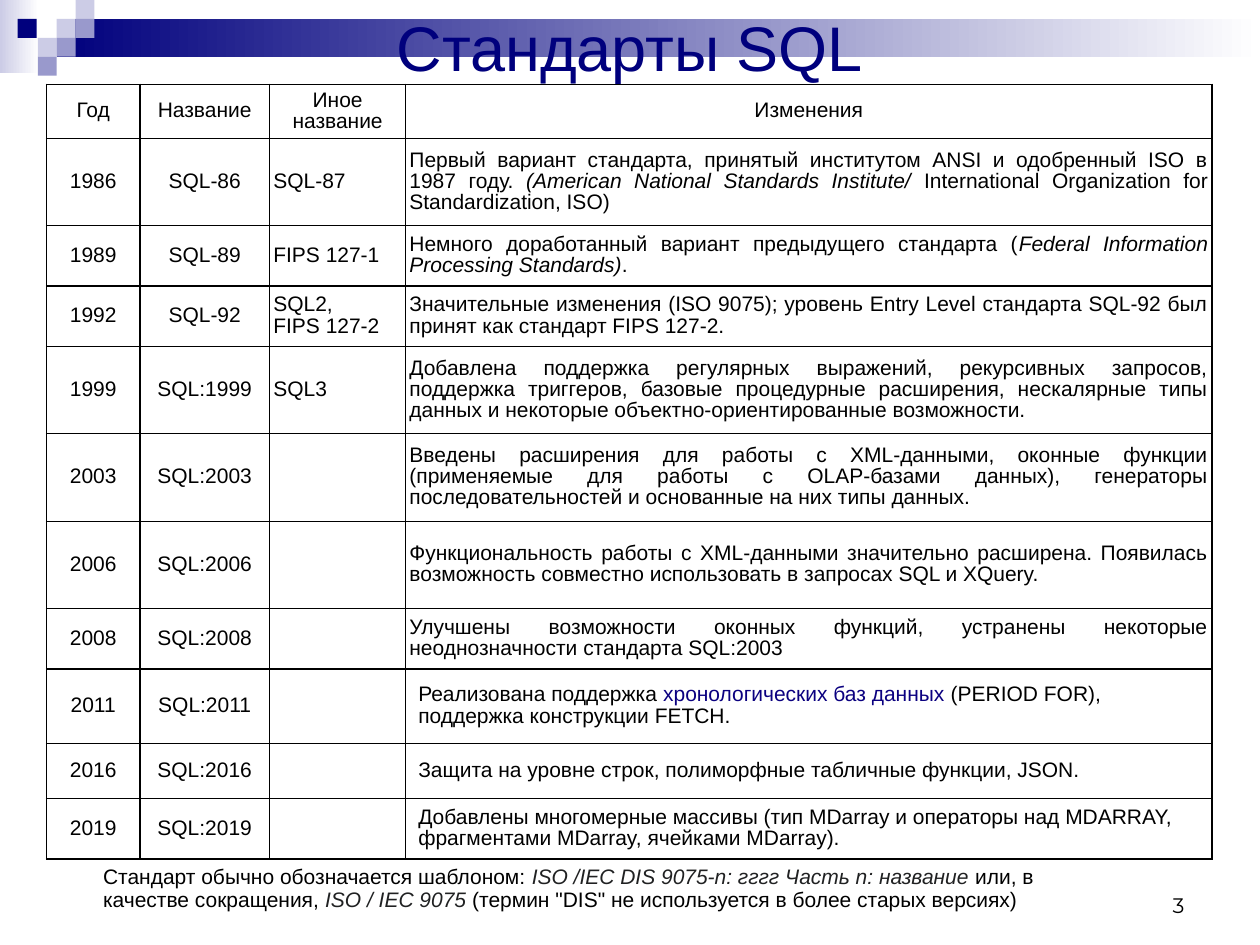
from dataclasses import dataclass
from typing import NamedTuple

from lxml.etree import SubElement
from pptx import Presentation
from pptx.dml.color import RGBColor
from pptx.enum.shapes import MSO_SHAPE as Preset
from pptx.enum.text import MSO_ANCHOR as Anchor, MSO_AUTO_SIZE as AutoSize, PP_ALIGN as Align
from pptx.oxml.ns import qn
from pptx.util import Inches, Pt


@dataclass(frozen=True)
class Theme:
    navy: str = "00007D"
    violet: str = "9999CC"
    lilac: str = "CCCCE6"
    white: str = "FFFFFF"
    black: str = "000000"
    term: str = "202122"
    link: str = "0B0080"
    font: str = "Arial"
    number_font: str = "Montserrat"
    title_size: int = 36
    body_size: int = 12
    border: int = 1
    spacing: float = 0.9


class Part(NamedTuple):
    text: str
    italic: bool = False
    color: str = ""


class Square(NamedTuple):
    left: float
    top: float
    color: str


class Standard(NamedTuple):
    year: str
    name: str
    alias: str
    changes: list[Part]
    height: float
    roomy: bool = False


THEME = Theme()
SQUARE_SIDE = 0.15
SQUARES = [
    Square(0.45, 0.15, THEME.lilac),
    Square(0.6, 0, THEME.lilac),
    Square(0.6, 0.15, THEME.violet),
    Square(0.3, 0.3, THEME.lilac),
    Square(0.14, 0.15, THEME.navy),
    Square(0.45, 0.3, THEME.violet),
    Square(0.3, 0.45, THEME.violet),
]
COLUMNS = [0.74, 1.03, 1.08, 6.4]
HEADER = ["Год", "Название", "Иное название", "Изменения"]
HEADER_HEIGHT = 0.43
STANDARDS = [
    Standard("1986", "SQL-86", "SQL-87", [
        Part("Первый вариант стандарта, принятый институтом ANSI и одобренный ISO в 1987 году."),
        Part(" (American National Standards Institute/ ", italic=True),
        Part("International Organization for Standardization, ISO)")], 0.69),
    Standard("1989", "SQL-89", "FIPS 127-1", [
        Part("Немного доработанный вариант предыдущего стандарта ("),
        Part("Federal Information Processing Standards)", italic=True),
        Part(".")], 0.48),
    Standard("1992", "SQL-92", "SQL2,\nFIPS 127-2", [
        Part("Значительные изменения (ISO 9075); уровень Entry Level стандарта SQL-92 был "
             "принят как стандарт FIPS 127-2.")], 0.48),
    Standard("1999", "SQL:1999", "SQL3", [
        Part("Добавлена поддержка регулярных выражений, рекурсивных запросов, поддержка "
             "триггеров, базовые процедурные расширения, нескалярные типы данных и "
             "некоторые объектно-ориентированные возможности.")], 0.69),
    Standard("2003", "SQL:2003", "", [
        Part("Введены расширения для работы с XML-данными, оконные функции (применяемые "
             "для работы с OLAP-базами данных), генераторы последовательностей и "
             "основанные на них типы данных.")], 0.7),
    Standard("2006", "SQL:2006", "", [
        Part("Функциональность работы с XML-данными значительно расширена. Появилась "
             "возможность совместно использовать в запросах SQL и XQuery.")], 0.69),
    Standard("2008", "SQL:2008", "", [
        Part("Улучшены возможности оконных функций, устранены некоторые неоднозначности "
             "стандарта SQL:2003")], 0.48),
    Standard("2011", "SQL:2011", "", [
        Part("Реализована поддержка "),
        Part("хронологических баз данных", color=THEME.link),
        Part(" (PERIOD FOR), поддержка конструкции FETCH.")], 0.59, roomy=True),
    Standard("2016", "SQL:2016", "", [
        Part("Защита на уровне строк, полиморфные табличные функции, JSON.")], 0.44, roomy=True),
    Standard("2019", "SQL:2019", "", [
        Part("Добавлены многомерные массивы (тип MDarray и операторы над MDARRAY, "
             "фрагментами MDarray, ячейками MDarray).")], 0.48, roomy=True),
]
FOOTNOTE = [
    Part("Стандарт обычно обозначается шаблоном: "),
    Part("ISO /IEC DIS 9075-n: гггг Часть n: название", italic=True, color=THEME.term),
    Part(" или, в качестве сокращения, "),
    Part("ISO / IEC 9075", italic=True, color=THEME.term),
    Part(" (термин \"DIS\" не используется в более старых версиях)"),
]


def write(para, parts: list[Part], align: Align, size: int = THEME.body_size,
          font: str = THEME.font, color: str = THEME.black, spacing: float = THEME.spacing) -> None:
    """Format a paragraph and fill it with text parts."""
    para.alignment = align
    para.line_spacing = spacing
    para.space_before = Pt(0)
    para.font.name = font
    para.font.size = Pt(size)
    para.font.color.rgb = RGBColor.from_string(color)
    for part in parts:
        for index, line in enumerate(part.text.split("\n")):
            if index:
                para.add_line_break()
            span = para.add_run()
            span.text = line
            if part.italic:
                span.font.italic = True
            if part.color:
                span.font.color.rgb = RGBColor.from_string(part.color)


def add_block(page, left: float, top: float, width: float, height: float,
              color: str, fade_to: str = "") -> None:
    """Draw a plain or horizontally fading rectangle."""
    box = page.shapes.add_shape(Preset.RECTANGLE, Inches(left), Inches(top),
                                Inches(width), Inches(height))
    box.shadow.inherit = False
    box.line.fill.background()
    if fade_to:
        box.fill.gradient()
        box.fill.gradient_angle = 0
        for stop, shade in zip(box.fill.gradient_stops, (color, fade_to)):
            stop.color.rgb = RGBColor.from_string(shade)
    else:
        box.fill.solid()
        box.fill.fore_color.rgb = RGBColor.from_string(color)


def add_borders(cell) -> None:
    """Outline a cell on all four sides."""
    properties = cell._tc.get_or_add_tcPr()
    for index, side in enumerate(("lnL", "lnR", "lnT", "lnB")):
        line = SubElement(properties, qn(f"a:{side}"), w=str(Pt(THEME.border)))
        fill = SubElement(line, qn("a:solidFill"))
        SubElement(fill, qn("a:srgbClr"), val=THEME.black)
        properties.insert(index, line)


def fill_cell(cell, parts: list[Part], align: Align, roomy: bool) -> None:
    cell.fill.background()
    add_borders(cell)
    cell.vertical_anchor = Anchor.MIDDLE
    if not roomy:
        cell.margin_left = cell.margin_right = Inches(0.03)
        cell.margin_top = cell.margin_bottom = Inches(0.03)
    write(cell.text_frame.paragraphs[0], parts, align)


def add_standards_table(page) -> None:
    heights = [HEADER_HEIGHT] + [standard.height for standard in STANDARDS]
    table = page.shapes.add_table(len(heights), len(COLUMNS), Inches(0.37), Inches(0.67),
                                  Inches(sum(COLUMNS)), Inches(sum(heights))).table
    table.first_row = table.horz_banding = False
    for column, width in zip(table.columns, COLUMNS):
        column.width = Inches(width)
    for row, height in zip(table.rows, heights):
        row.height = Inches(height)
    for index, label in enumerate(HEADER):
        fill_cell(table.cell(0, index), [Part(label)], Align.CENTER, False)
    for row, standard in enumerate(STANDARDS, start=1):
        body_align = Align.LEFT if standard.roomy else Align.JUSTIFY
        alias = [Part(standard.alias)] if standard.alias else []
        contents = [[Part(standard.year)], [Part(standard.name)], alias, standard.changes]
        aligns = [Align.CENTER, Align.CENTER, body_align, body_align]
        for column, (parts, align) in enumerate(zip(contents, aligns)):
            fill_cell(table.cell(row, column), parts, align, standard.roomy)


def add_text(page, left: float, top: float, width: float, height: float):
    box = page.shapes.add_textbox(Inches(left), Inches(top), Inches(width), Inches(height))
    box.text_frame.word_wrap = True
    return box.text_frame


def main() -> None:
    deck = Presentation()
    deck.slide_width, deck.slide_height = Inches(10), Inches(7.5)
    page = deck.slides.add_slide(deck.slide_layouts[5])

    # Header decoration, kept behind the title
    title = page.shapes.title
    add_block(page, 0, 0, 0.31, 0.58, THEME.lilac, THEME.white)
    add_block(page, 0.45, 0.15, 9.55, 0.3, THEME.navy, THEME.white)
    for square in SQUARES:
        add_block(page, square.left, square.top, SQUARE_SIDE, SQUARE_SIDE, square.color)
    page.shapes._spTree.append(title._element)

    # Title
    title.left, title.top, title.width, title.height = map(Inches, (0.5, 0.08, 9, 0.57))
    title.text_frame.auto_size = AutoSize.NONE
    title.text_frame.vertical_anchor = Anchor.MIDDLE
    write(title.text_frame.paragraphs[0], [Part("Стандарты SQL")], Align.CENTER,
          THEME.title_size, color=THEME.navy, spacing=1.0)

    add_standards_table(page)

    # Page number and footnote
    number = add_text(page, 7.17, 6.83, 2.33, 0.5)
    number.vertical_anchor = Anchor.BOTTOM
    write(number.paragraphs[0], [Part("3")], Align.RIGHT, font=THEME.number_font, spacing=1.0)
    footnote = add_text(page, 0.72, 6.83, 7.87, 0.46)
    footnote.auto_size = AutoSize.SHAPE_TO_FIT_TEXT
    write(footnote.paragraphs[0], FOOTNOTE, Align.LEFT)

    deck.save("out.pptx")


if __name__ == "__main__":
    main()
